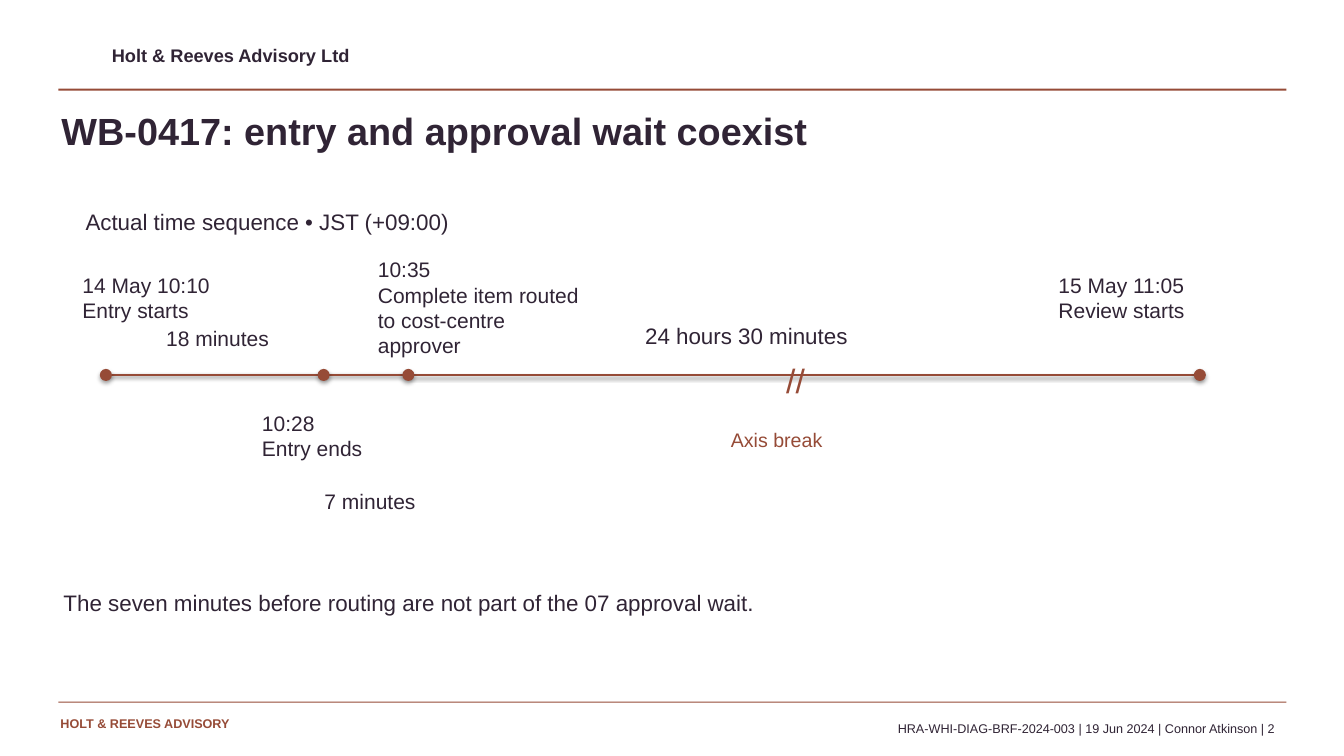
from itertools import pairwise

from pptx import Presentation
from pptx.dml.color import RGBColor
from pptx.enum.shapes import MSO_CONNECTOR, MSO_SHAPE
from pptx.enum.text import MSO_ANCHOR, PP_ALIGN
from pptx.oxml import parse_xml
from pptx.oxml.ns import nsdecls
from pptx.util import Inches, Pt

COLORS = {"rust": "964B37", "ink": "302435", "shadow": "000000"}

prs = Presentation()
prs.slide_width = Inches(13.33)
prs.slide_height = Inches(7.5)
s = prs.slides.add_slide(prs.slide_layouts[5])


def add_text(text, x, y, w, h, size=15, color="ink", bold=False,
             align=PP_ALIGN.LEFT, inset=True, sp=None):
    box = [Inches(v) for v in (x, y, w, h)]
    if sp is None:
        sp = s.shapes.add_textbox(*box)
    sp.left, sp.top, sp.width, sp.height = box
    tf = sp.text_frame
    tf.word_wrap = True
    tf.vertical_anchor = MSO_ANCHOR.TOP
    if not inset:
        tf.margin_left = tf.margin_right = tf.margin_top = tf.margin_bottom = 0
    tf.text = text
    for p in tf.paragraphs:
        p.alignment = align
        for r in p.runs:
            r.font.name = "Arial"
            r.font.size = Pt(size)
            r.font.bold = bold
            r.font.color.rgb = RGBColor.from_string(COLORS[color])


def add_shadow(sp, alpha, distance):
    sp._element.spPr.append(parse_xml(
        f'<a:effectLst {nsdecls("a")}>'
        f'<a:outerShdw blurRad="{Pt(3.1)}" dist="{Pt(distance)}" dir="5400000" rotWithShape="0">'
        f'<a:srgbClr val="{COLORS["shadow"]}"><a:alpha val="{alpha * 1000}"/></a:srgbClr>'
        '</a:outerShdw></a:effectLst>'))


rust = RGBColor.from_string(COLORS["rust"])

add_text("WB-0417: entry and approval wait coexist", 0.61, 1.07, 12, 0.78,
         size=27, bold=True, inset=False, sp=s.shapes.title)

for y, h in [(0.88, 0.02), (6.96, 0.01)]:
    sp = s.shapes.add_shape(MSO_SHAPE.RECTANGLE, Inches(0.58), Inches(y),
                            Inches(12.18), Inches(h))
    sp.shadow.inherit = False
    sp.fill.solid()
    sp.fill.fore_color.rgb = rust
    sp.line.fill.background()

add_text("Holt & Reeves Advisory Ltd", 1.11, 0.44, 6, 0.27, size=13, bold=True, inset=False)
add_text("HOLT & REEVES ADVISORY", 0.6, 7.1, 3.4, 0.25,
         size=9, color="rust", bold=True, inset=False)
add_text("HRA-WHI-DIAG-BRF-2024-003 | 19 Jun 2024 | Connor Atkinson | 2",
         4.12, 7.1, 8.62, 0.23, size=9, align=PP_ALIGN.RIGHT)
add_text("The seven minutes before routing are not part of the 07 approval wait.",
         0.63, 5.84, 11.94, 0.8, size=16, inset=False)
add_text("Actual time sequence • JST (+09:00)", 0.75, 2.02, 11.5, 0.35, size=16)

axis_y = 3.72
dot = 0.12
event_xs = [1.05, 3.21, 4.05, 11.9]

for start, end in pairwise(event_xs):
    line = s.shapes.add_connector(MSO_CONNECTOR.STRAIGHT, Inches(start), Inches(axis_y),
                                  Inches(end), Inches(axis_y))
    line.line.color.rgb = rust
    line.line.width = Pt(2)
    add_shadow(line, 38, 1.6)

for x in event_xs:
    sp = s.shapes.add_shape(MSO_SHAPE.OVAL, Inches(x - dot / 2), Inches(axis_y - dot / 2),
                            Inches(dot), Inches(dot))
    sp.fill.solid()
    sp.fill.fore_color.rgb = rust
    sp.line.fill.background()
    add_shadow(sp, 35, 1.8)

for text, x, y, w, h in [
    ("14 May 10:10\nEntry starts", 0.72, 2.65, 1.8, 0.8),
    ("10:28\nEntry ends", 2.5, 4.02, 1.6, 0.85),
    ("10:35\nComplete item routed to cost-centre approver", 3.65, 2.5, 2.3, 0.95),
    ("15 May 11:05\nReview starts", 10.4, 2.65, 2.3, 0.85),
    ("18 minutes", 1.55, 3.18, 1.6, 0.35),
    ("7 minutes", 3.12, 4.8, 1.8, 0.35),
]:
    add_text(text, x, y, w, h)

add_text("24 hours 30 minutes", 6.3, 3.15, 3.2, 0.4, size=16)
add_text("//", 7.7, 3.52, 1.2, 0.55, size=24, color="rust")
add_text("Axis break", 7.15, 4.2, 2.4, 0.35, size=14, color="rust")

prs.save("out.pptx")
